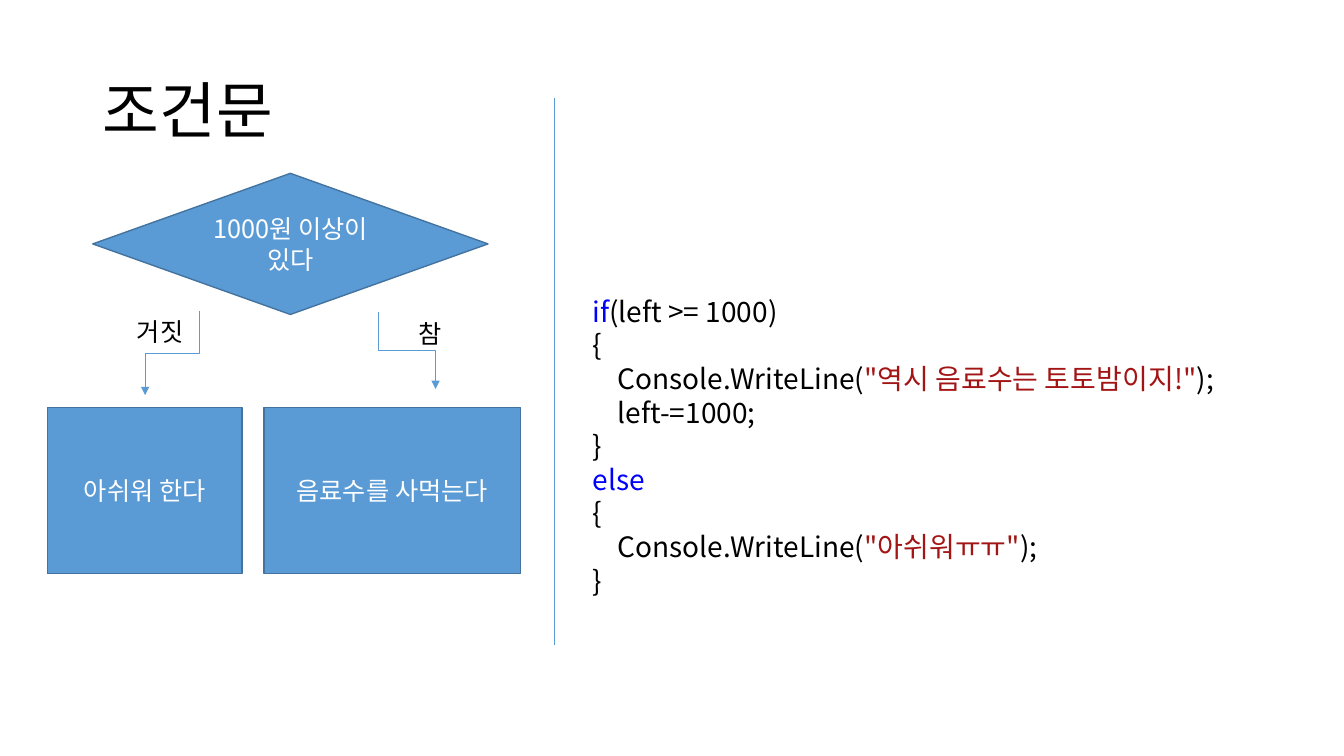
"""Build the conditional statement slide: a flowchart beside its code."""
import pptx
import pptx.util
import pptx.dml.color
import pptx.enum.shapes
import pptx.enum.text
import pptx.oxml
import pptx.oxml.ns

Inches, Pt = pptx.util.Inches, pptx.util.Pt
Shape = pptx.enum.shapes.MSO_SHAPE
Connector = pptx.enum.shapes.MSO_CONNECTOR
Anchor = pptx.enum.text.MSO_ANCHOR
Align = pptx.enum.text.PP_ALIGN

FONT = "Noto Sans CJK KR"
COLORS = {"fill": "5B9BD5", "edge": "43739E", "white": "FFFFFF",
          "plain": "000000", "keyword": "0000FF", "string": "A31515"}

TITLE = ("조건문", (0.92, 0.4, 11.5, 1.45))
STEP_TOP, STEP_HEIGHT = 4.04, 1.65
STEPS = [
    ("1000원 이상이 있다", Shape.DIAMOND, (0.92, 1.72, 3.92, 1.4)),
    ("아쉬워 한다", Shape.FLOWCHART_PROCESS, (0.47, STEP_TOP, 1.93, STEP_HEIGHT)),
    ("음료수를 사먹는다", Shape.FLOWCHART_PROCESS, (2.62, STEP_TOP, 2.54, STEP_HEIGHT)),
]
BRANCHES = [
    ("거짓", (1.26, 3.09, 0.71, 0.4), (1.98, 3.09), (1.44, 3.92)),
    ("참", (4.05, 3.11, 0.45, 0.4), (3.75, 3.1), (4.32, 3.86)),
]
DIVIDER = ((5.5, 0.97), (5.5, 6.4))
CODE_BOX = (5.78, 2.87, 7.25, 3.13)
CODE = [
    (0, [("if", "keyword"), ("(left >= 1000)", "plain")]),
    (0, [("{", "plain")]),
    (1, [("Console.WriteLine(", "plain"), ('"역시 음료수는 토토밤이지!"', "string"), (");", "plain")]),
    (1, [("left-=1000;", "plain")]),
    (0, [("}", "plain")]),
    (0, [("else", "keyword")]),
    (0, [("{", "plain")]),
    (1, [("Console.WriteLine(", "plain"), ('"아쉬워ㅠㅠ"', "string"), (");", "plain")]),
    (0, [("}", "plain")]),
]
CODE_INDENT = 0.25


def rgb(name):
    return pptx.dml.color.RGBColor.from_string(COLORS[name])


def add_child(parent, tag, **attributes):
    child = pptx.oxml.parse_xml(f"<a:{tag} {pptx.oxml.ns.nsdecls('a')}/>")
    for key, value in attributes.items():
        child.set(key, value)
    parent.append(child)


def style_run(run, size, color):
    run.font.size, run.font.name = Pt(size), FONT
    run.font.color.rgb = rgb(color)
    add_child(run.font._element, "ea", typeface=FONT)


def add_text(text, box, size, wrap=True):
    frame = slide.shapes.add_textbox(*map(Inches, box)).text_frame
    frame.word_wrap = wrap
    frame.text = text
    for run in frame.paragraphs[0].runs:
        style_run(run, size, "plain")
    return frame


def add_line(kind, start, end, width=0.5):
    line = slide.shapes.add_connector(kind, *map(Inches, (*start, *end)))
    line.line.color.rgb, line.line.width = rgb("fill"), Pt(width)
    add_child(line._element.spPr, "effectLst")
    return line


def add_branch_arrow(start, end):
    across, down = end[0] - start[0], end[1] - start[1]
    middle_x, middle_y = start[0] + across / 2, start[1] + down / 2
    half_x = down / 2 if across < 0 else -down / 2
    half_y = abs(across) / 2
    arrow = add_line(Connector.ELBOW, (middle_x - half_x, middle_y - half_y),
                     (middle_x + half_x, middle_y + half_y))
    arrow._element.spPr.xfrm.set("rot", str((90 if across < 0 else 270) * 60000))
    add_child(arrow.line._get_or_add_ln(), "tailEnd", type="triangle")


deck = pptx.Presentation()
deck.slide_width, deck.slide_height = Inches(13.33), Inches(7.5)
slide = deck.slides.add_slide(deck.slide_layouts[6])

title = add_text(*TITLE, 44)
title.vertical_anchor = Anchor.MIDDLE
title.paragraphs[0].line_spacing = 0.9

for label, kind, box in STEPS:
    step = slide.shapes.add_shape(kind, *map(Inches, box))
    step.shadow.inherit = False
    step.fill.solid()
    step.fill.fore_color.rgb = rgb("fill")
    step.line.color.rgb, step.line.width = rgb("edge"), Pt(1)
    step.text_frame.text = label
    step.text_frame.word_wrap = True
    step.text_frame.vertical_anchor = Anchor.MIDDLE
    step.text_frame.paragraphs[0].alignment = Align.CENTER
    style_run(step.text_frame.paragraphs[0].runs[0], 18, "white")

for answer, box, start, end in BRANCHES:
    add_branch_arrow(start, end)
    add_text(answer, box, 18, wrap=False)

code = add_text("", CODE_BOX, 20)
for number, (level, pieces) in enumerate(CODE):
    row = code.add_paragraph() if number else code.paragraphs[0]
    row._p.get_or_add_pPr().set("marL", str(Inches(level * CODE_INDENT)))
    for text, color in pieces:
        run = row.add_run()
        run.text = text
        style_run(run, 20, color)

add_line(Connector.STRAIGHT, *DIVIDER)
deck.save("out.pptx")
